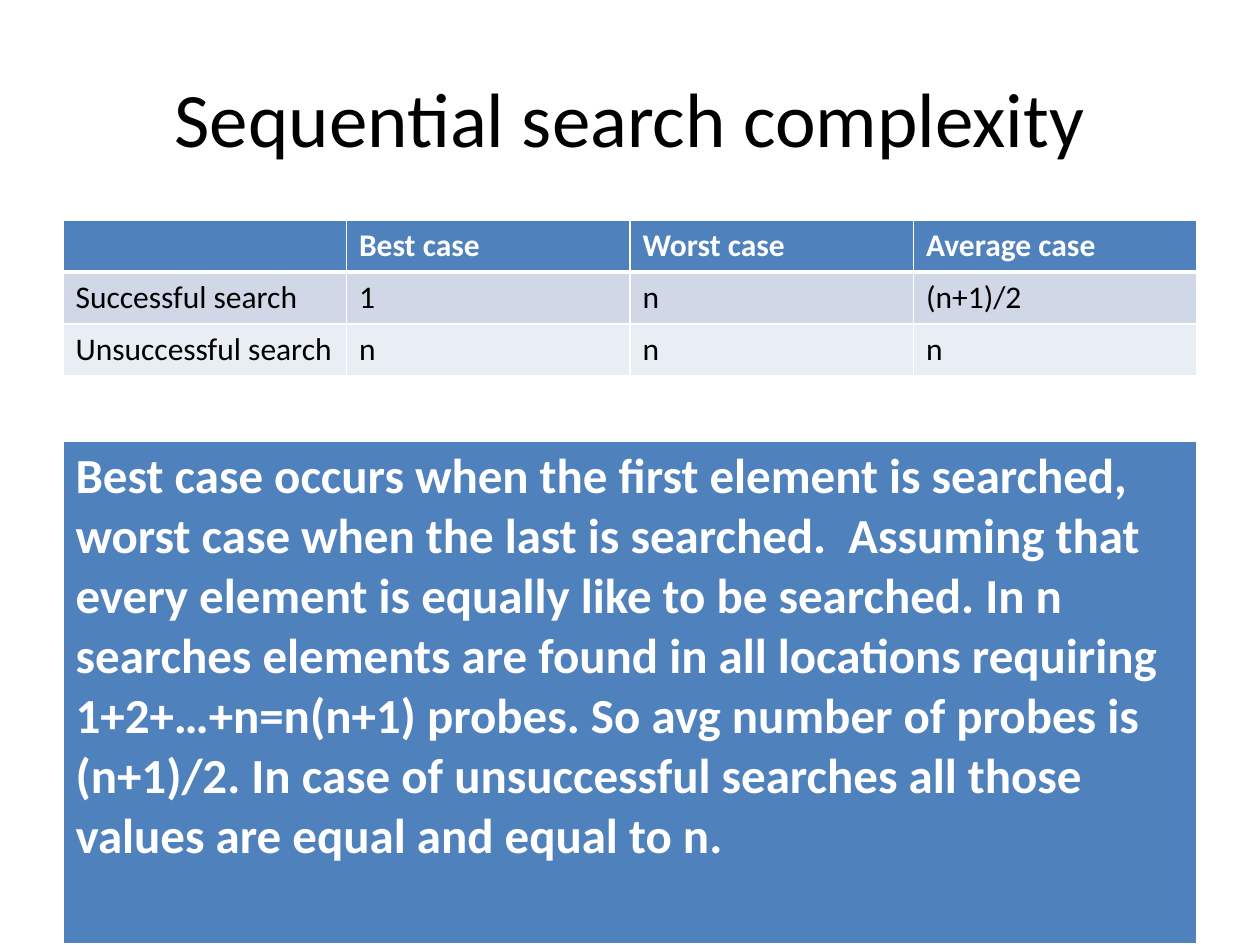
from pptx import Presentation
from pptx.dml.color import RGBColor as RGB
from pptx.enum.text import MSO_ANCHOR as Anchor, PP_ALIGN as Align
from pptx.oxml import parse_xml
from pptx.oxml.ns import nsdecls
from pptx.util import Pt

PX = 9144  # 100 px to the inch
THEME = {
    "font": "Calibri",
    "title": 44, "cell": 18, "note": 28,
    "black": "000000", "white": "FFFFFF",
    "header": "4F81BD", "bands": ["D0D8E8", "E9EDF4"],
}
LEFT, WIDTH = 50, 900


def add_run(p, text, size, color, bold=False):
    r = p.add_run()
    r.text = text
    r.font.name = THEME["font"]
    r.font.size = Pt(size)
    r.font.bold = bold
    r.font.color.rgb = RGB.from_string(color)


def fill_cell(cell, text, size, color, fill, bold, bottom):
    cell.fill.solid()
    cell.fill.fore_color.rgb = RGB.from_string(fill)
    # Borders come before the fill in the cell properties
    tc_pr = cell._tc.get_or_add_tcPr()
    for i, (side, width) in enumerate([("L", 1), ("R", 1), ("T", 1), ("B", bottom)]):
        tc_pr.insert(i, parse_xml(
            f'<a:ln{side} {nsdecls("a")} w="{Pt(width)}"><a:solidFill>'
            f'<a:srgbClr val="{THEME["white"]}"/></a:solidFill></a:ln{side}>'))
    if text:
        add_run(cell.text_frame.paragraphs[0], text, size, color, bold)


prs = Presentation()
prs.slide_width, prs.slide_height = 1000 * PX, 750 * PX
s = prs.slides.add_slide(prs.slide_layouts[5])

# Title
title = s.shapes.title
title.left, title.top = LEFT * PX, 30 * PX
title.width, title.height = WIDTH * PX, 125 * PX
tf = title.text_frame
tf.vertical_anchor = Anchor.MIDDLE
p = tf.paragraphs[0]
p.alignment = Align.CENTER
add_run(p, "Sequential search complexity", THEME["title"], THEME["black"])

# Complexity table
rows = [
    ["", "Best case", "Worst case", "Average case"],
    ["Successful search", "1", "n", "(n+1)/2"],
    ["Unsuccessful search", "n", "n", "n"],
]
ROW = 41
cases = s.shapes.add_table(len(rows), len(rows[0]), LEFT * PX, 175 * PX,
                           WIDTH * PX, ROW * len(rows) * PX).table
for i, row in enumerate(rows):
    cases.rows[i].height = ROW * PX
    head = i == 0
    color = THEME["white"] if head else THEME["black"]
    fill = THEME["header"] if head else THEME["bands"][i - 1]
    for j, text in enumerate(row):
        fill_cell(cases.cell(i, j), text, THEME["cell"], color, fill,
                  bold=head, bottom=3 if head else 1)
# The first body row shares the heavy line under the header
for cell in cases.rows[1].cells:
    cell._tc.tcPr[2].set("w", str(Pt(3)))

# Explanation in a one-cell table
note = s.shapes.add_table(1, 1, LEFT * PX, 350 * PX, WIDTH * PX, 400 * PX).table
fill_cell(
    note.cell(0, 0),
    "Best case occurs when the first element is searched, worst case when the "
    "last is searched.  Assuming that every element is equally like to be "
    "searched. In n searches elements are found in all locations requiring "
    "1+2+…+n=n(n+1) probes. So avg number of probes is (n+1)/2. In case of "
    "unsuccessful searches all those values are equal and equal to n.",
    THEME["note"], THEME["white"], THEME["header"], bold=True, bottom=3)

prs.save("out.pptx")
